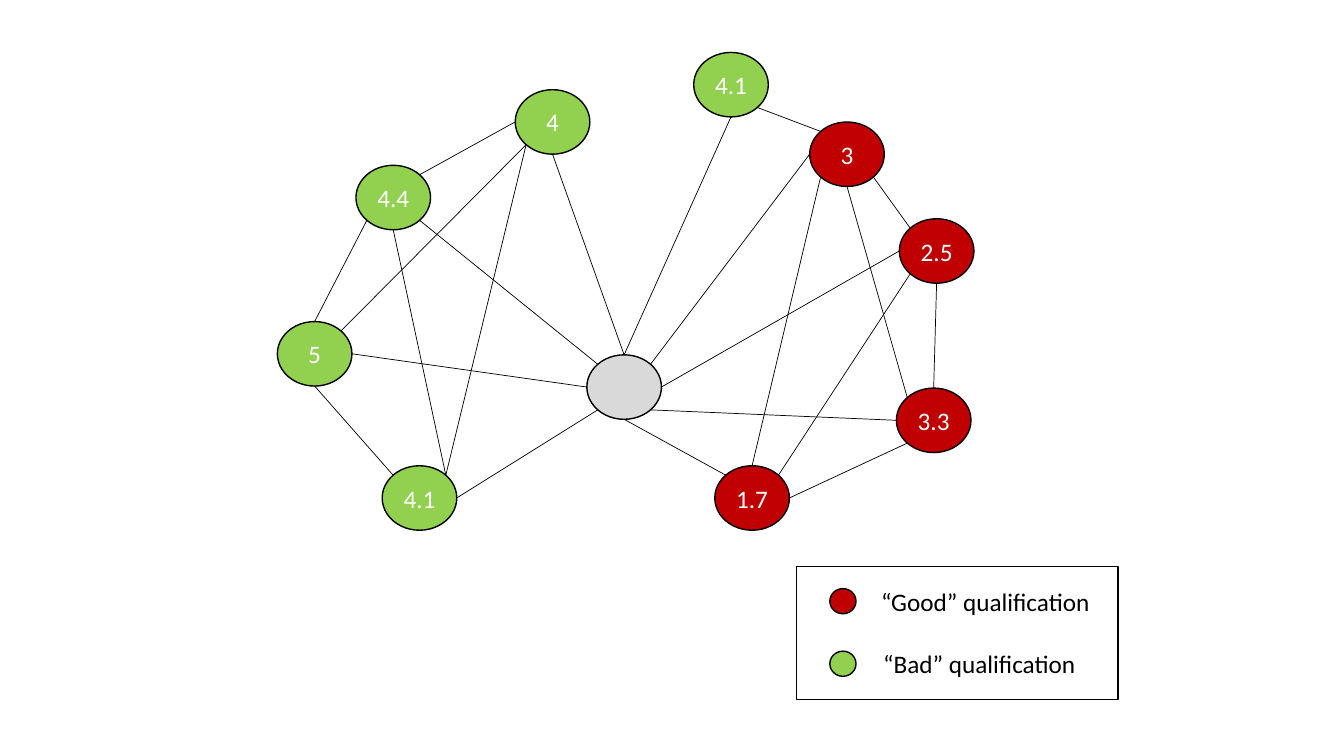
from dataclasses import dataclass
from math import sqrt

from lxml.etree import SubElement
from pptx import Presentation
from pptx.dml.color import RGBColor as Rgb
from pptx.enum.shapes import MSO_CONNECTOR as Connector, MSO_SHAPE as Shape
from pptx.enum.text import MSO_ANCHOR as Anchor, PP_ALIGN as Align
from pptx.oxml.ns import qn
from pptx.util import Inches, Pt


@dataclass(frozen=True)
class Theme:
    good: Rgb = Rgb(0xC0, 0x00, 0x00)
    bad: Rgb = Rgb(0x92, 0xD0, 0x50)
    unrated: Rgb = Rgb(0xD9, 0xD9, 0xD9)
    ink: Rgb = Rgb(0x00, 0x00, 0x00)
    rating: Rgb = Rgb(0xFF, 0xFF, 0xFF)
    font: str = "Calibri"
    text_size: Pt = Pt(18)
    outline: Pt = Pt(1)
    link: Pt = Pt(0.5)


theme = Theme()
deck = Presentation()
deck.slide_width, deck.slide_height = Inches(13.33), Inches(7.5)
slide = deck.slides.add_slide(deck.slide_layouts[6])


def place(x, y):
    return round(deck.slide_width * x / 100), round(deck.slide_height * y / 100)


def add_outlined(preset, center, size, color=None):
    corner = [c - s / 2 for c, s in zip(center, size)]
    outlined = slide.shapes.add_shape(preset, *place(*corner), *place(*size))
    outlined.shadow.inherit = False
    if color is None:
        outlined.fill.background()
    else:
        outlined.fill.solid()
        outlined.fill.fore_color.rgb = color
    outlined.line.color.rgb = theme.ink
    outlined.line.width = theme.outline
    return outlined


node_size = (5.55, 8.53)
nodes = {
    "west": ("5", (23.41, 46.8), theme.bad),
    "southwest": ("4.1", (31.21, 65.87), theme.bad),
    "northwest": ("4.4", (29.26, 26.13), theme.bad),
    "north": ("4", (41.11, 16.13), theme.bad),
    "hub": ("", (46.44, 51.2), theme.unrated),
    "southeast": ("3.3", (69.47, 55.6), theme.good),
    "south": ("1.7", (55.96, 65.87), theme.good),
    "east": ("2.5", (69.69, 33.2), theme.good),
    "northeast": ("3", (63.02, 20.4), theme.good),
    "top": ("4.1", (54.39, 11.2), theme.bad),
}
for rating, center, color in nodes.values():
    node = add_outlined(Shape.OVAL, center, node_size, color)
    if rating:
        frame = node.text_frame
        frame.word_wrap = False
        frame.vertical_anchor = Anchor.MIDDLE
        label = frame.paragraphs[0]
        label.text = rating
        label.alignment = Align.CENTER
        label.font.name = theme.font
        label.font.size = theme.text_size
        label.font.color.rgb = theme.rating

diagonal = 1 / sqrt(2)
rim = {
    "N": (0, -1), "S": (0, 1), "W": (-1, 0), "E": (1, 0),
    "NW": (-diagonal, -diagonal), "NE": (diagonal, -diagonal),
    "SW": (-diagonal, diagonal), "SE": (diagonal, diagonal),
}
links = [
    ("north", "S", "hub", "N"),
    ("northwest", "SE", "hub", "NW"),
    ("west", "E", "hub", "W"),
    ("southwest", "E", "hub", "SW"),
    ("southwest", "NW", "west", "S"),
    ("west", "N", "northwest", "SW"),
    ("northwest", "NE", "north", "W"),
    ("northeast", "W", "hub", "NE"),
    ("east", "W", "hub", "E"),
    ("southeast", "W", "hub", "SE"),
    ("south", "NW", "hub", "S"),
    ("south", "E", "southeast", "SW"),
    ("southeast", "N", "east", "S"),
    ("east", "NW", "northeast", "SE"),
    ("southwest", "NE", "north", "SW"),
    ("southwest", "NE", "northwest", "S"),
    ("west", "NE", "north", "SW"),
    ("northeast", "S", "southeast", "NW"),
    ("northeast", "SW", "south", "N"),
    ("east", "SW", "south", "NE"),
    ("top", "S", "hub", "N"),
    ("top", "SE", "northeast", "NW"),
]
for start, start_side, end, end_side in links:
    ends = []
    for name, side in ((start, start_side), (end, end_side)):
        center = nodes[name][1]
        ends += place(*(c + s / 2 * r for c, s, r in zip(center, node_size, rim[side])))
    link = slide.shapes.add_connector(Connector.STRAIGHT, *ends)
    link.line.color.rgb = theme.ink
    link.line.width = theme.link
    SubElement(link._element.spPr, qn("a:effectLst"))

legend = [
    ("“Good” qualification", theme.good, 64.82, 79.53),
    ("“Bad” qualification", theme.bad, 64.97, 87.8),
]
caption_size = (17.25, 5.33)
for meaning, color, left, middle in legend:
    add_outlined(Shape.OVAL, (62.72, middle), (1.95, 3.33), color)
    caption = slide.shapes.add_textbox(
        *place(left, middle - caption_size[1] / 2), *place(*caption_size))
    caption.text_frame.word_wrap = True
    entry = caption.text_frame.paragraphs[0]
    entry.text = meaning
    entry.font.name = theme.font
    entry.font.size = theme.text_size
    entry.font.color.rgb = theme.ink
add_outlined(Shape.RECTANGLE, (71.23, 83.73), (23.93, 17.6))

deck.save("out.pptx")
